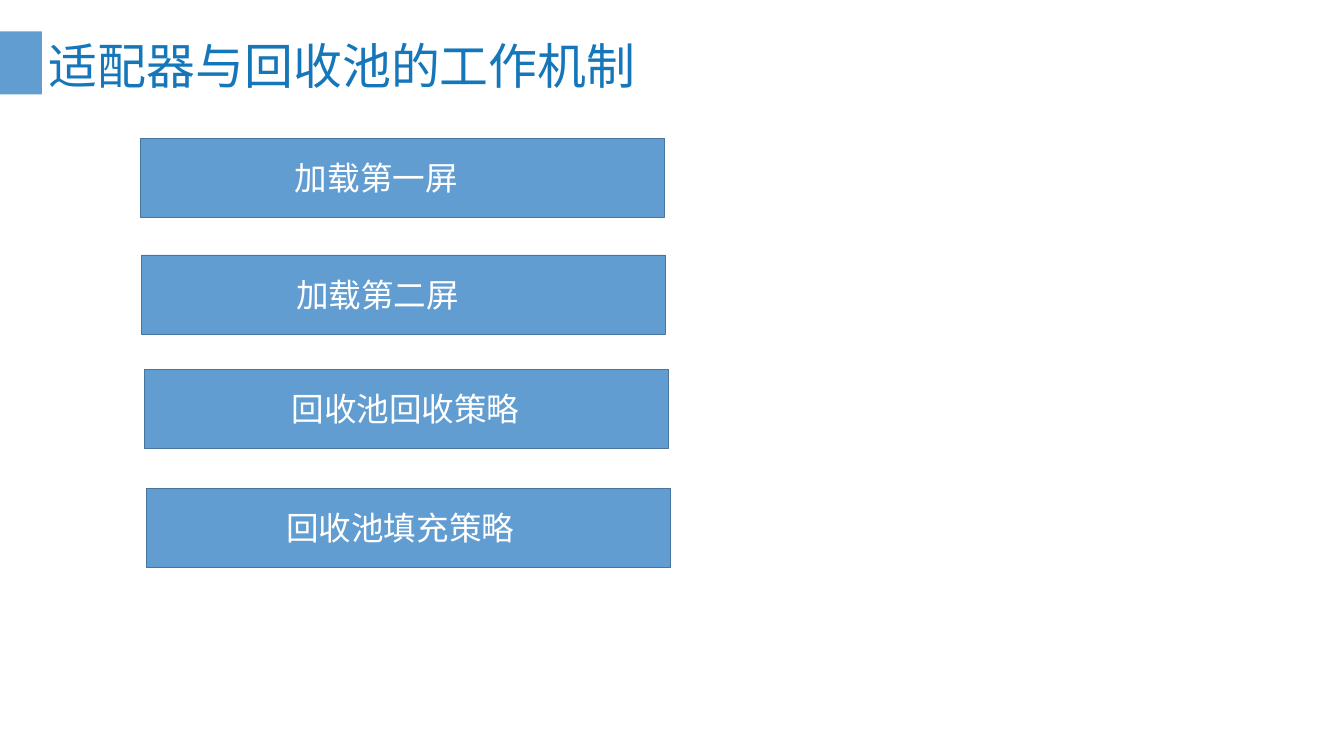
from pptx import Presentation
from pptx.dml.color import RGBColor
from pptx.enum.shapes import MSO_SHAPE
from pptx.enum.text import MSO_ANCHOR, MSO_AUTO_SIZE, PP_ALIGN
from pptx.oxml.ns import qn
from pptx.util import Cm, Pt

TITLE = "适配器与回收池的工作机制"
STEPS = [
    ("加载第一屏", 6.68, 6.58, 7.37),
    ("加载第二屏", 6.73, 12.14, 7.37),
    ("回收池回收策略", 6.86, 17.58, 7.02),
    ("回收池填充策略", 6.96, 23.24, 6.67),
]
BAR_W, BAR_H = 24.97, 3.76
FONT = "Noto Sans CJK SC"
BLUE, EDGE, TITLE_BLUE, WHITE = "629DD1", "49749B", "1577BA", "FFFFFF"


def color(value):
    return RGBColor.from_string(value)


def write(sp, text, *, size, fill, inset=0.33):
    tf = sp.text_frame
    tf.word_wrap = True
    tf.auto_size = MSO_AUTO_SIZE.NONE
    tf.vertical_anchor = MSO_ANCHOR.MIDDLE
    tf.margin_left, tf.margin_right = Cm(inset), Cm(0.33)
    tf.margin_top = tf.margin_bottom = Cm(0.18)
    p = tf.paragraphs[0]
    p.alignment = PP_ALIGN.LEFT
    r = p.add_run()
    r.text = text
    r.font.size = Pt(size)
    r.font.name = FONT
    r.font.color.rgb = color(fill)
    ea = r.font._element.makeelement(qn("a:ea"), {"typeface": FONT})
    r.font._element.find(qn("a:latin")).addnext(ea)


def add_bar(s, left, top, width, height, line=None):
    sp = s.shapes.add_shape(MSO_SHAPE.RECTANGLE, Cm(left), Cm(top), Cm(width), Cm(height))
    sp.shadow.inherit = False
    sp.fill.solid()
    sp.fill.fore_color.rgb = color(BLUE)
    if line:
        sp.line.color.rgb = color(line)
        sp.line.width = Pt(1)
    else:
        sp.line.fill.background()
    return sp


def main():
    prs = Presentation()
    prs.slide_width, prs.slide_height = Cm(64.01), Cm(35.99)
    s = prs.slides.add_slide(prs.slide_layouts[5])

    add_bar(s, 0, 1.5, 2, 3)
    title = s.shapes.title
    title.left, title.top, title.width, title.height = Cm(2), Cm(1.55), Cm(60), Cm(3.05)
    write(title, TITLE, size=66, fill=TITLE_BLUE)

    for text, left, top, inset in STEPS:
        sp = add_bar(s, left, top, BAR_W, BAR_H, line=EDGE)
        write(sp, text, size=44, fill=WHITE, inset=inset)

    prs.save("out.pptx")


if __name__ == "__main__":
    main()
